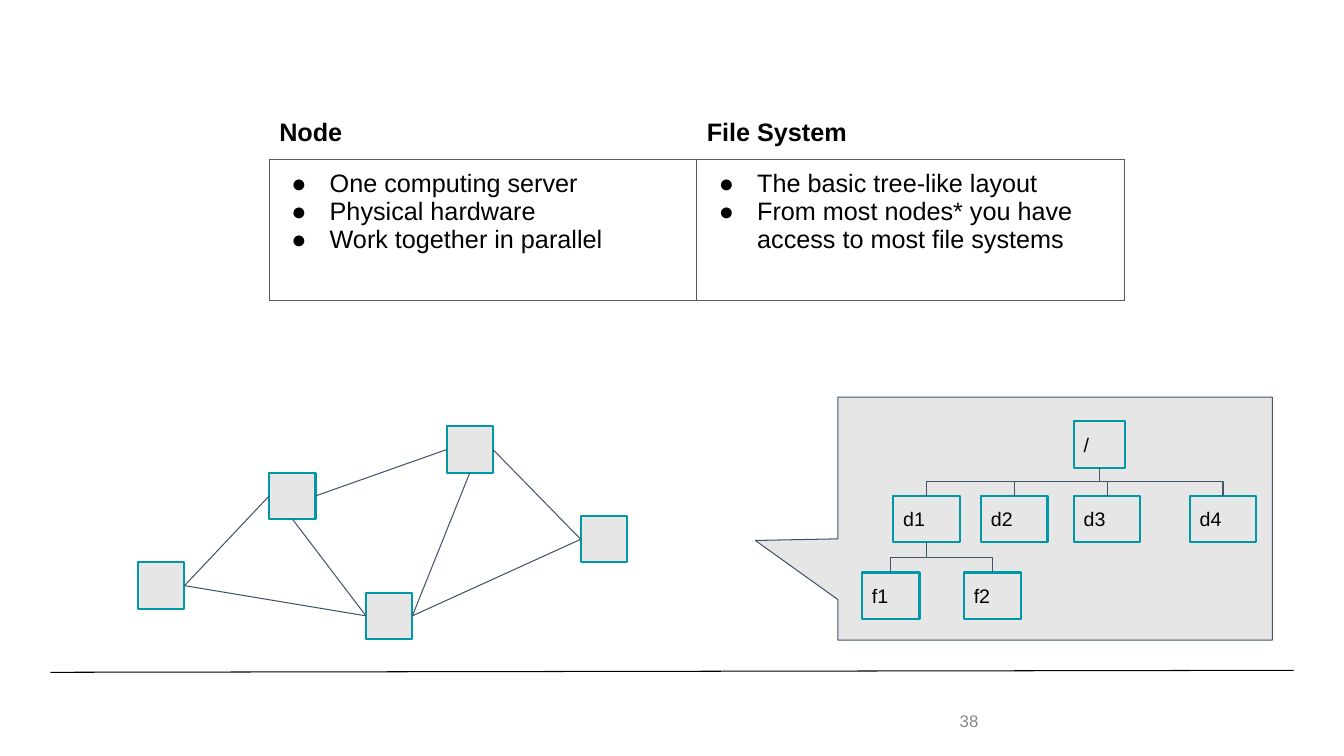
from pptx import Presentation
from pptx.dml.color import RGBColor
from pptx.enum import shapes, text
from pptx.oxml import ns
from pptx.util import Inches, Pt
from lxml import etree

GREY, TEAL, SLATE = "E7E6E6", "0097A7", "44546A"
BLACK, WHITE, BORDER = "000000", "FFFFFF", "595959"
BOX_HEIGHT = 0.46
SUMMARY = {
    "Node": ["One computing server", "Physical hardware", "Work together in parallel"],
    "File System": ["The basic tree-like layout",
                    "From most nodes* you have access to most file systems"],
}
NODES = {"west": (1.37, 5.58), "northwest": (2.67, 4.69), "north": (4.43, 4.23),
         "south": (3.63, 5.88), "east": (5.76, 5.12)}
TOP, LEFT, BOTTOM, RIGHT = range(4)
LINKS = [("west", RIGHT, "northwest", LEFT), ("west", RIGHT, "south", LEFT),
         ("northwest", BOTTOM, "south", LEFT), ("northwest", RIGHT, "north", LEFT),
         ("north", BOTTOM, "south", RIGHT), ("north", RIGHT, "east", LEFT),
         ("south", RIGHT, "east", LEFT)]
ENTRIES = {"/": (10.65, 4.18, 0.51), "d1": (8.86, 4.92, 0.66), "d2": (9.73, 4.92, 0.66),
           "d3": (10.65, 4.92, 0.66), "d4": (11.8, 4.92, 0.66),
           "f1": (8.55, 5.68, 0.57), "f2": (9.56, 5.68, 0.57)}
CHILDREN = {"/": ["d1", "d2", "d3", "d4"], "d1": ["f1", "f2"]}


def color(value):
    """Return the colour for a hex string."""
    return RGBColor.from_string(value)


def style_font(font, size, value=BLACK, bold=False):
    """Apply the slide's typeface with a size, colour and weight."""
    font.name, font.size, font.bold = "Arial", Pt(size), bold
    font.color.rgb = color(value)


def set_margins(frame, inset):
    """Give a text frame the same inset on all sides."""
    frame.margin_left = frame.margin_right = Inches(inset)
    frame.margin_top = frame.margin_bottom = Inches(inset)


def add_filled(slide, preset, left, top, width, height, outline, weight):
    """Add a grey preset shape with a coloured outline."""
    shape = slide.shapes.add_shape(preset, Inches(left), Inches(top),
                                   Inches(width), Inches(height))
    shape.shadow.inherit = False
    shape.fill.solid()
    shape.fill.fore_color.rgb = color(GREY)
    shape.line.color.rgb = color(outline)
    shape.line.width = Pt(weight)
    return shape


def add_box(slide, left, top, width, label=""):
    """Add a teal-outlined box, labelled when a label is given."""
    box = add_filled(slide, shapes.MSO_SHAPE.RECTANGLE, left, top, width, BOX_HEIGHT, TEAL, 1.5)
    if label:
        frame = box.text_frame
        set_margins(frame, 0.1)
        frame.vertical_anchor = text.MSO_ANCHOR.MIDDLE
        frame.text = label
        frame.paragraphs[0].alignment = text.PP_ALIGN.LEFT
        style_font(frame.paragraphs[0].runs[0].font, 14)
    return box


def add_line(slide, start, end, value=SLATE, kind=shapes.MSO_CONNECTOR.STRAIGHT):
    """Add a thin connector without a shadow."""
    line = slide.shapes.add_connector(kind, *(Inches(v) for v in (*start, *end)))
    line.line.color.rgb = color(value)
    line.line.width = Pt(0.75)
    etree.SubElement(line._element.spPr, ns.qn("a:effectLst"))
    return line


def add_branch(slide, parent, child):
    """Add an elbow from the parent's bottom centre to the child's top centre."""
    (parent_left, parent_top, parent_width), (child_left, child_top, child_width) = parent, child
    start_x, start_y = parent_left + parent_width / 2, parent_top + BOX_HEIGHT
    run = child_left + child_width / 2 - start_x
    drop = child_top - start_y
    middle_x, middle_y = start_x + run / 2, start_y + drop / 2
    branch = add_line(slide, (middle_x - drop / 2, middle_y + run / 2),
                      (middle_x + drop / 2, middle_y - run / 2),
                      kind=shapes.MSO_CONNECTOR.ELBOW)
    branch._element.spPr.find(ns.qn("a:xfrm")).set("rot", "5400000")


def set_borders(cell, **sides):
    """Draw the given sides (L, R, T, B) of a cell in hex colours."""
    properties = cell._tc.get_or_add_tcPr()
    for side, value in sides.items():
        border = etree.SubElement(properties, ns.qn(f"a:ln{side}"), w=str(Pt(0.75)))
        fill = etree.SubElement(border, ns.qn("a:solidFill"))
        etree.SubElement(fill, ns.qn("a:srgbClr"), val=value)


def add_bullet(paragraph):
    """Give a paragraph a hanging round bullet."""
    properties = paragraph._p.get_or_add_pPr()
    properties.set("marL", str(Inches(0.5)))
    properties.set("indent", str(Inches(-0.38)))
    bullet_color = etree.SubElement(properties, ns.qn("a:buClr"))
    etree.SubElement(bullet_color, ns.qn("a:srgbClr"), val=BLACK)
    etree.SubElement(properties, ns.qn("a:buFont"), typeface="Arial")
    etree.SubElement(properties, ns.qn("a:buChar"), char="●")


def fill_cell(cell, lines, heading):
    """Write a heading or a bulleted list into a table cell."""
    edge = WHITE if heading else BORDER
    set_borders(cell, L=edge, R=edge, T=edge, B=BORDER)
    cell.fill.background()
    set_margins(cell, 0.1)
    cell.text_frame.text = "\n".join(lines)
    for paragraph in cell.text_frame.paragraphs:
        if not heading:
            add_bullet(paragraph)
        style_font(paragraph.runs[0].font, 18, bold=heading)


def add_summary(slide):
    """Add the table that describes nodes and file systems."""
    table = slide.shapes.add_table(2, len(SUMMARY), Inches(2.67), Inches(1.08),
                                   Inches(8.48), Inches(1.89)).table
    table.first_row = table.horz_banding = False
    table.rows[0].height, table.rows[1].height = Inches(0.49), Inches(1.4)
    for column, (heading, points) in enumerate(SUMMARY.items()):
        fill_cell(table.cell(0, column), [heading], True)
        fill_cell(table.cell(1, column), points, False)


def add_network(slide):
    """Add the linked computing nodes."""
    boxes = {name: add_box(slide, *place, BOX_HEIGHT) for name, place in NODES.items()}
    for start, start_side, end, end_side in LINKS:
        link = add_line(slide, NODES[start], NODES[end])
        link.begin_connect(boxes[start], start_side)
        link.end_connect(boxes[end], end_side)


def add_file_tree(slide):
    """Add the callout holding the directory tree."""
    callout = add_filled(slide, shapes.MSO_SHAPE.ROUNDED_RECTANGULAR_CALLOUT,
                         8.31, 3.94, 4.31, 2.41, SLATE, 0.75)
    for index, value in enumerate((-0.69, 0.09, 0)):
        callout.adjustments[index] = value
    for label, place in ENTRIES.items():
        add_box(slide, *place, label)
    for parent, children in CHILDREN.items():
        for child in children:
            add_branch(slide, ENTRIES[parent], ENTRIES[child])


def add_page_number(slide):
    """Add the grey page number below the footer rule."""
    number = slide.shapes.add_textbox(Inches(9.42), Inches(6.95), Inches(0.75), Inches(0.4))
    frame = number.text_frame
    frame.word_wrap = True
    frame.vertical_anchor = text.MSO_ANCHOR.MIDDLE
    frame.text = "38"
    style_font(frame.paragraphs[0].runs[0].font, 12, "888888")


def main():
    """Build and save the slide."""
    deck = Presentation()
    deck.slide_width, deck.slide_height = Inches(13.33), Inches(7.5)
    slide = deck.slides.add_slide(deck.slide_layouts[6])
    add_line(slide, (0.5, 6.67), (12.83, 6.65), BLACK)
    add_page_number(slide)
    add_summary(slide)
    add_network(slide)
    add_file_tree(slide)
    deck.save("out.pptx")


if __name__ == "__main__":
    main()
